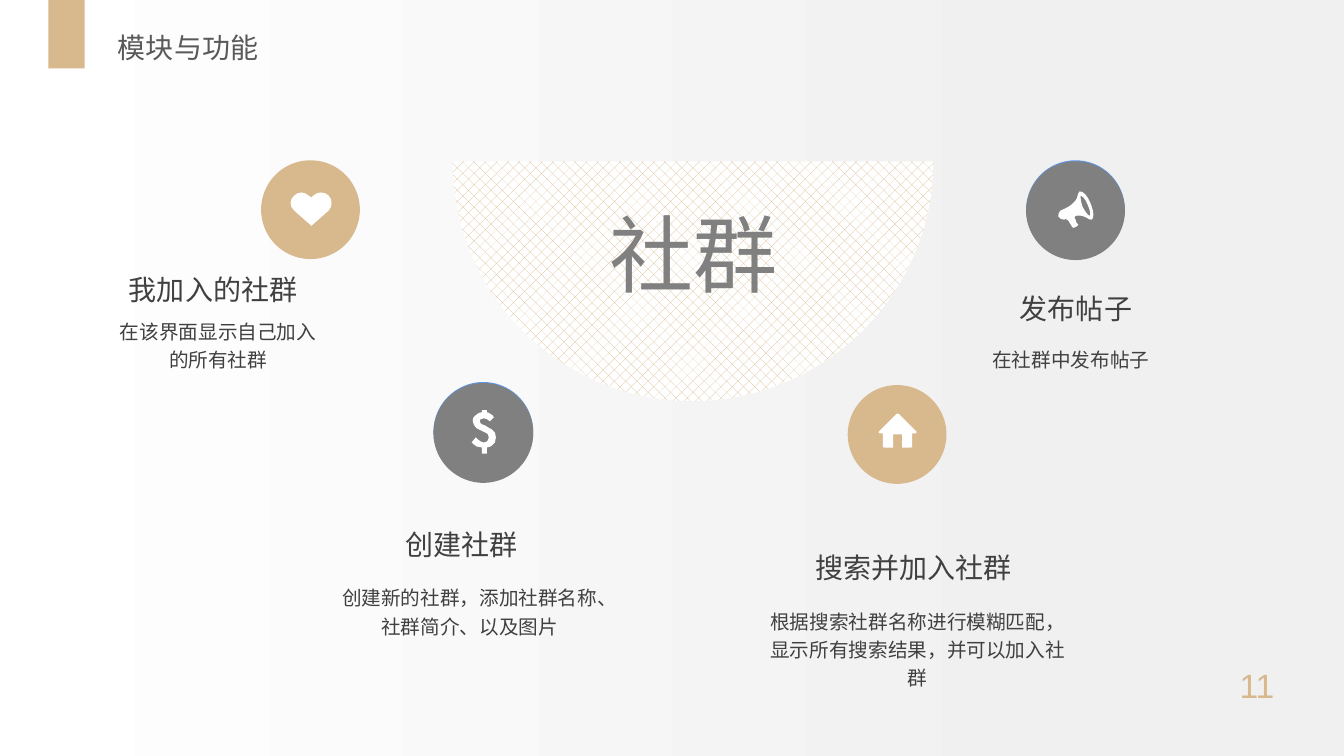
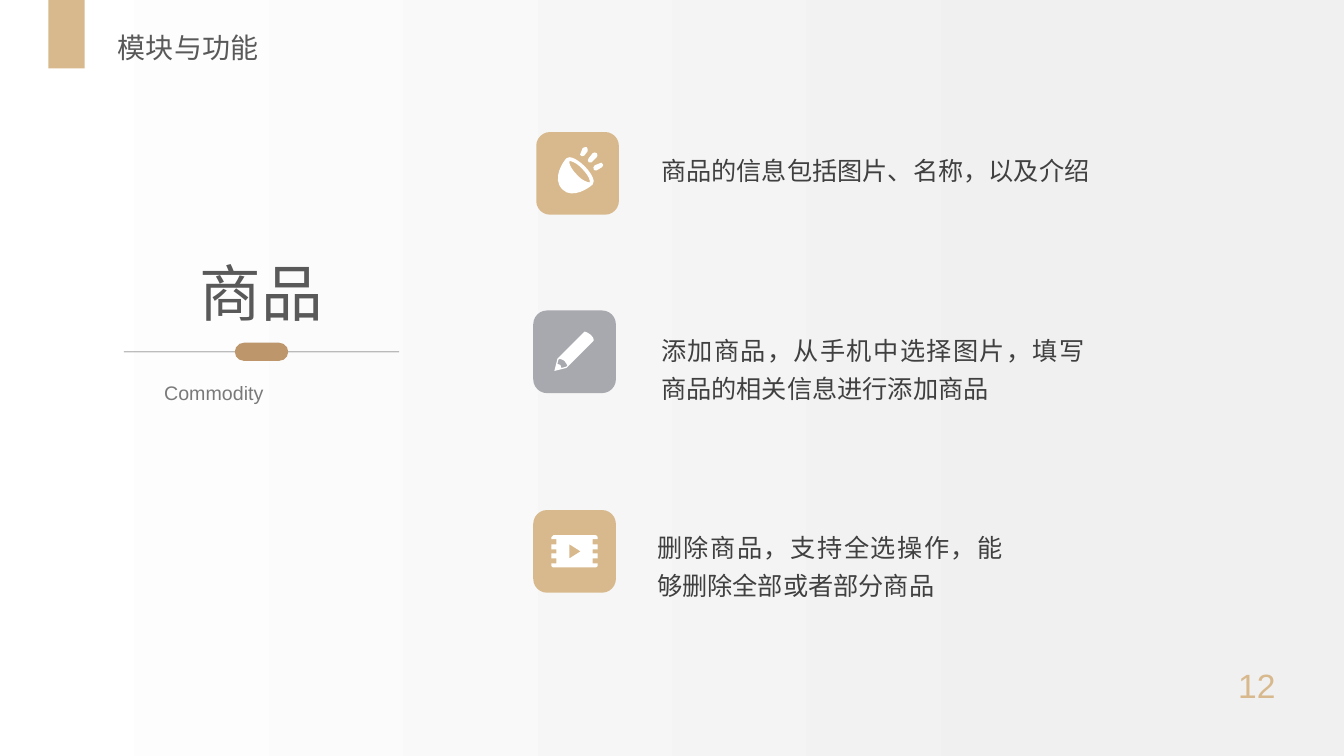
from dataclasses import dataclass

from lxml.etree import SubElement
from pptx import Presentation
from pptx.dml.color import RGBColor
from pptx.enum.dml import MSO_PATTERN
from pptx.enum.shapes import MSO_CONNECTOR, MSO_SHAPE
from pptx.enum.text import MSO_ANCHOR, MSO_AUTO_SIZE, PP_ALIGN
from pptx.oxml.ns import qn
from pptx.util import Inches, Pt


@dataclass(frozen=True)
class Theme:
    font: str = "Arial"
    gold: RGBColor = RGBColor(0xD8, 0xB9, 0x8D)
    bronze: RGBColor = RGBColor(0xBD, 0x96, 0x6B)
    gray: RGBColor = RGBColor(0x80, 0x80, 0x80)
    silver: RGBColor = RGBColor(0xA8, 0xA9, 0xAE)
    blue: RGBColor = RGBColor(0x60, 0x96, 0xE6)
    white: RGBColor = RGBColor(0xFF, 0xFF, 0xFF)
    pale: RGBColor = RGBColor(0xF0, 0xF0, 0xF0)
    heading: RGBColor = RGBColor(0x59, 0x59, 0x59)
    body: RGBColor = RGBColor(0x40, 0x40, 0x40)
    rule: RGBColor = RGBColor(0x26, 0x26, 0x26)
    hero_size: int = 60
    topic_size: int = 44
    number_size: int = 24
    title_size: int = 20
    point_size: int = 18
    small_size: int = 14


theme = Theme()

HALF_DISC = (
    "M 238 238 C 299 238 360 214 407 168 C 454 121 477 60 477 0 "
    "L 0 0 C 0 60 23 121 69 168 C 116 214 177 238 238 238"
)
HEART = (
    "M 38 3 C 34 -1 27 -1 23 3 L 21 5 18 3 C 14 -1 8 -1 4 3 "
    "C -1 7 -1 14 4 18 L 21 33 38 18 C 42 14 42 7 38 3"
)
HOUSE = (
    "M 37 17 L 20 0 C 19 -1 18 -1 17 0 L 0 17 C -1 18 0 19 1 19 "
    "L 4 19 4 32 C 4 33 4 33 6 33 L 14 33 14 20 23 20 23 33 31 33 "
    "C 33 33 33 33 33 32 L 33 19 36 19 C 37 19 38 18 37 17"
)
DOLLAR = (
    "M 22 7 L 18 11 C 16 9 14 8 12 8 C 11 8 10 8 9 9 C 8 9 8 10 8 11 "
    "C 8 12 8 12 9 13 C 9 14 11 14 13 15 C 16 17 18 18 20 19 "
    "C 21 20 22 21 23 22 C 23 24 24 25 24 27 C 24 29 23 30 23 32 "
    "C 22 33 21 34 20 35 C 19 36 17 37 15 37 L 15 43 10 43 10 37 "
    "C 8 37 7 37 5 36 C 3 35 1 33 0 32 L 4 27 C 7 30 10 32 12 32 "
    "C 14 32 15 31 16 30 C 17 29 17 28 17 27 C 17 26 17 25 16 24 "
    "C 16 23 15 23 13 22 C 9 20 7 19 5 18 C 4 17 3 16 2 14 "
    "C 2 13 1 12 1 10 C 1 8 2 6 4 5 C 6 3 8 2 10 2 L 10 0 15 0 15 2 "
    "C 16 2 18 3 19 4 C 20 4 21 5 22 7"
)
MEGAPHONE = (
    "M 31 24 C 30 24 27 21 24 15 C 22 10 22 4 22 4 C 23 4 27 7 29 13 "
    "C 32 19 32 24 31 24 "
    "M 32 12 C 29 4 24 -1 21 0 C 17 2 24 10 2 19 C 0 20 0 23 0 25 "
    "C 1 27 4 28 6 28 C 6 27 7 27 7 27 C 9 29 10 28 10 29 "
    "C 11 30 12 33 13 34 C 13 35 14 36 15 36 C 16 36 18 35 19 34 "
    "C 20 34 20 33 20 33 C 20 32 18 32 18 31 C 18 30 17 27 16 26 "
    "C 16 25 17 24 18 24 C 28 23 30 29 33 28 C 36 27 35 19 32 12"
)
BELL = (
    "M 15 11 C 12 14 0 31 11 42 C 21 52 38 40 41 37 "
    "C 44 34 40 26 33 19 C 26 12 18 8 15 11 "
    "M 38 35 C 37 35 31 34 25 27 C 19 21 17 15 18 14 "
    "C 18 13 25 15 31 22 C 37 28 39 34 38 35 "
    "M 38 15 C 39 15 40 15 40 15 L 45 10 C 46 9 46 7 45 6 "
    "C 44 5 42 5 41 6 L 37 11 C 36 12 36 14 37 15 L 38 15 "
    "M 30 9 L 31 9 C 32 9 32 9 33 8 L 36 4 C 36 2 36 1 35 0 "
    "C 33 0 32 0 31 1 L 29 6 C 28 7 28 8 30 9 "
    "M 51 17 C 50 15 49 15 48 16 L 43 18 C 42 19 41 21 42 22 "
    "C 42 23 43 23 44 23 L 45 23 50 20 C 51 19 52 18 51 17"
)
PENCIL = (
    "M 36 3 C 32 0 30 0 30 0 L 17 13 3 27 0 39 12 36 26 22 39 9 "
    "C 39 9 40 7 36 3 "
    "M 11 35 L 7 36 C 7 35 6 34 6 33 C 5 33 4 32 3 32 L 4 28 5 27 "
    "C 5 27 7 27 10 29 C 12 31 13 34 13 34 L 11 35"
)
FILM = (
    "M 46 4 L 46 2 C 46 1 45 0 44 0 L 2 0 C 1 0 0 1 0 2 "
    "L 0 4 5 4 5 9 0 9 0 14 5 14 5 18 0 18 0 23 5 23 5 28 0 28 0 30 "
    "C 0 31 1 32 2 32 L 44 32 C 45 32 46 31 46 30 "
    "L 46 28 41 28 41 23 46 23 46 18 41 18 41 14 46 14 46 9 41 9 41 4 46 4 "
    "M 18 23 L 18 9 29 16 18 23"
)


def add_outline(slide, left, top, outline):
    builder = None
    curve_starts = []
    line_count = 0
    for contour in outline.split("M")[1:]:
        points = []
        for segment in contour.replace("C", "|C").replace("L", "|L").split("|"):
            numbers = [int(value) for value in segment.strip("CL ").split()]
            if segment.startswith("C"):
                curve_starts.append(line_count + len(points) - 1)
            points += zip(numbers[::2], numbers[1::2])
        line_count += len(points) - 1
        places = [(Inches(left + x / 100), Inches(top + y / 100)) for x, y in points]
        if builder is None:
            builder = slide.shapes.build_freeform(*places[0])
        else:
            builder.move_to(*places[0])
        builder.add_line_segments(places[1:], close=True)
    shape = builder.convert_to_shape()
    lines = list(shape.element.iter(qn("a:lnTo")))
    for start in curve_starts:
        curve = lines[start]
        curve.tag = qn("a:cubicBezTo")
        for line in lines[start + 1:start + 3]:
            curve.append(line[0])
            line.getparent().remove(line)
    shape.shadow.inherit = False
    shape.fill.solid()
    shape.fill.fore_color.rgb = theme.white
    shape.line.fill.background()
    return shape


def add_text(slide, box, text, size, color, align=PP_ALIGN.CENTER,
             anchor=MSO_ANCHOR.TOP, spacing=None, inset=True):
    shape = slide.shapes.add_textbox(*map(Inches, box))
    frame = shape.text_frame
    frame.word_wrap = True
    frame.vertical_anchor = anchor
    if not inset:
        frame.margin_left = frame.margin_right = Inches(0)
        frame.margin_top = frame.margin_bottom = Inches(0)
    paragraph = frame.paragraphs[0]
    paragraph.alignment = align
    paragraph.line_spacing = spacing
    run = paragraph.add_run()
    run.text = text
    run.font.name = theme.font
    run.font.size = Pt(size)
    run.font.color.rgb = color
    return shape


presentation = Presentation()
presentation.slide_width = Inches(40 / 3)
presentation.slide_height = Inches(7.5)

background = presentation.slide_master.background.fill
background.gradient()
background.gradient_angle = 0
for stop, position, color in zip(background.gradient_stops, (0, 0.8), (theme.white, theme.pale)):
    stop.position = position
    stop.color.rgb = color

slides = []
for number in ("11", "12"):
    slide = presentation.slides.add_slide(presentation.slide_layouts[5])
    slides.append(slide)
    band = slide.shapes.add_shape(
        MSO_SHAPE.RECTANGLE, Inches(0.48), Inches(0), Inches(0.36), Inches(0.68))
    band.shadow.inherit = False
    band.fill.solid()
    band.fill.fore_color.rgb = theme.gold
    band.line.fill.background()

    title = slide.shapes.title
    title.left, title.top = Inches(1.07), Inches(0.25)
    title.width, title.height = Inches(2.23), Inches(0.44)
    title.text_frame.auto_size = MSO_AUTO_SIZE.NONE
    title.text_frame.vertical_anchor = MSO_ANCHOR.TOP
    paragraph = title.text_frame.paragraphs[0]
    paragraph.alignment = PP_ALIGN.JUSTIFY
    run = paragraph.add_run()
    run.text = "模块与功能"
    run.font.name = theme.font
    run.font.size = Pt(theme.title_size)
    run.font.color.rgb = theme.heading

    add_text(slide, (12.1, 6.55, 0.74, 0.5), number, theme.number_size, theme.gold)

community, commodity = slides

half_disc = add_outline(community, 4.49, 1.6, HALF_DISC)
half_disc.fill.patterned()
half_disc.fill.pattern = MSO_PATTERN.PERCENT_25
half_disc.fill.fore_color.rgb = theme.gold
half_disc.fill.back_color.rgb = theme.white

hero = add_text(community, (5.35, 1.97, 3.05, 1.41), "社群", theme.hero_size, theme.gray,
                anchor=MSO_ANCHOR.MIDDLE, spacing=Pt(48))
hero.text_frame.paragraphs[0].space_before = Pt(6)

discs = (
    (2.59, 1.59, 0.98, theme.gold),
    (4.3, 3.79, 0.99, theme.blue),
    (4.3, 3.8, 0.99, theme.gray),
    (8.41, 3.82, 0.98, theme.gold),
    (10.18, 1.59, 0.98, theme.blue),
    (10.18, 1.6, 0.98, theme.gray),
)
for left, top, size, color in discs:
    disc = community.shapes.add_shape(
        MSO_SHAPE.OVAL, Inches(left), Inches(top), Inches(size), Inches(size))
    disc.shadow.inherit = False
    disc.fill.solid()
    disc.fill.fore_color.rgb = color
    disc.line.fill.background()

features = (
    (2.88, 1.91, HEART, "我加入的社群", (1.03, 2.58, 2.17, 0.46),
     "在该界面显示自己加入的所有社群", (1.13, 3.13, 2.07, 0.45)),
    (4.68, 4.07, DOLLAR, "创建社群", (3.49, 5.11, 2.17, 0.46),
     "创建新的社群\uff0c添加社群名称、社群简介、以及图片", (3.32, 5.77, 2.68, 0.69)),
    (8.72, 4.11, HOUSE, "搜索并加入社群", (7.62, 4.88, 2.88, 0.91),
     "根据搜索社群名称进行模糊匹配\uff0c显示所有搜索结果\uff0c并可以加入社群",
     (7.62, 6, 2.97, 0.67)),
    (10.5, 1.9, MEGAPHONE, "发布帖子", (9.59, 2.77, 2.17, 0.46),
     "在社群中发布帖子", (9.59, 3.41, 2.07, 0.32)),
)
for left, top, icon, name, name_box, detail, detail_box in features:
    add_outline(community, left, top, icon)
    add_text(community, name_box, name, theme.title_size, theme.body,
             anchor=MSO_ANCHOR.BOTTOM, inset=False)
    add_text(community, detail_box, detail, theme.small_size, theme.body,
             spacing=1.2, inset=False)

points = (
    (5.32, 1.31, theme.gold, 5.47, 1.46, BELL,
     "商品的信息包括图片、名称\uff0c以及介绍", (6.46, 1.42, 4.64, 0.48)),
    (5.29, 3.08, theme.silver, 5.5, 3.29, PENCIL,
     "添加商品\uff0c从手机中选择图片\uff0c填写商品的相关信息进行添加商品",
     (6.46, 3.2, 4.4, 0.86)),
    (5.29, 5.06, theme.gold, 5.47, 5.31, FILM,
     "删除商品\uff0c支持全选操作\uff0c能够删除全部或者部分商品", (6.42, 5.16, 3.63, 0.86)),
)
for left, top, color, icon_left, icon_top, icon, text, box in points:
    tile = commodity.shapes.add_shape(
        MSO_SHAPE.ROUNDED_RECTANGLE, Inches(left), Inches(top), Inches(0.82), Inches(0.82))
    tile.shadow.inherit = False
    tile.fill.solid()
    tile.fill.fore_color.rgb = color
    tile.line.fill.background()
    add_outline(commodity, icon_left, icon_top, icon)
    add_text(commodity, box, text, theme.point_size, theme.body,
             align=PP_ALIGN.JUSTIFY, spacing=1.25)

topic = add_text(commodity, (1.88, 2.48, 1.42, 0.84), "商品", theme.topic_size, theme.heading,
                 align=PP_ALIGN.LEFT)
topic.text_frame.word_wrap = False
subtitle = add_text(commodity, (1.53, 3.64, 2.12, 0.43), "Commodity", theme.small_size,
                    theme.heading, align=PP_ALIGN.JUSTIFY, spacing=1.4)

rule = commodity.shapes.add_connector(
    MSO_CONNECTOR.STRAIGHT, Inches(3.96), Inches(3.49), Inches(1.23), Inches(3.49))
rule.line.width = Pt(1)
rule.line.color.rgb = theme.rule
SubElement(rule.element.spPr, qn("a:effectLst"))
for shape, opacity in ((subtitle, 80), (rule, 29)):
    for color in shape.element.iter(qn("a:srgbClr")):
        SubElement(color, qn("a:alpha")).set("val", str(opacity * 1000))

pill = commodity.shapes.add_shape(
    MSO_SHAPE.ROUNDED_RECTANGLE, Inches(2.33), Inches(3.4), Inches(0.53), Inches(0.18))
pill.adjustments[0] = 0.5
pill.shadow.inherit = False
pill.fill.solid()
pill.fill.fore_color.rgb = theme.bronze
pill.line.fill.background()

presentation.save("out.pptx")
